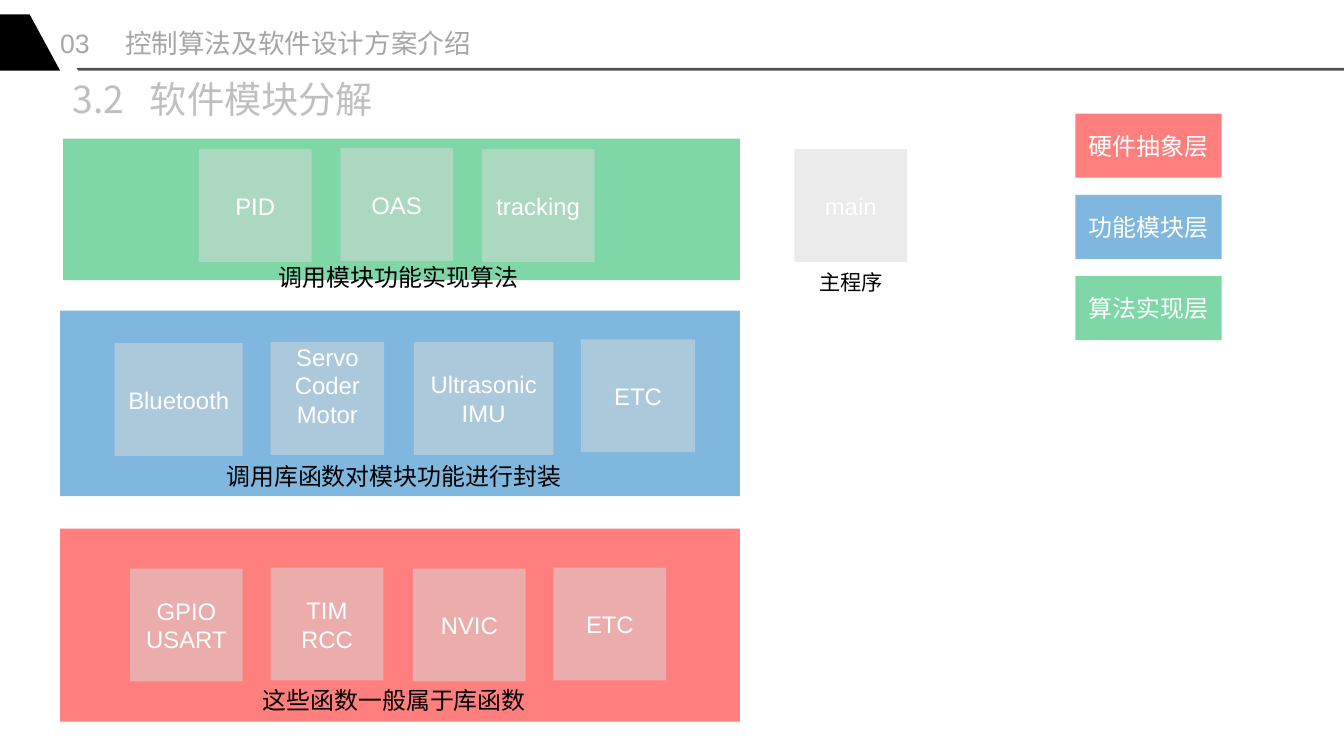
from dataclasses import dataclass

from lxml import etree
from pptx import Presentation
from pptx import util as u
from pptx.dml import color
from pptx.enum import shapes, text
from pptx.oxml import ns

COLOURS = {
    "hardware": "FF0000", "function": "0070C0", "algorithm": "00B050",
    "tile": "D9D9D9", "white": "FFFFFF", "black": "000000",
    "rule": "525252", "heading": "A6A6A6", "title": "BFBFBF",
}
LATIN, CHINESE = "Arial", "Noto Sans CJK SC"
RECT = shapes.MSO_SHAPE.RECTANGLE
PROCESS = shapes.MSO_SHAPE.FLOWCHART_PROCESS
TILE_SIDE = 1.18


@dataclass(frozen=True)
class Area:
    left: float
    top: float
    width: float
    height: float

    def lengths(self) -> list[int]:
        return [u.Inches(n) for n in (self.left, self.top, self.width, self.height)]


@dataclass(frozen=True)
class Tile:
    label: str
    left: float
    top: float
    width: float = TILE_SIDE
    lift: float = 0  # raises the label by using a deeper bottom inset


@dataclass(frozen=True)
class Label:
    content: str
    area: Area
    size: int = 18
    font: str = CHINESE
    colour: str = "black"
    wrap: bool = False
    tab: float = 0
    inset: bool = True
    after: int = 0


@dataclass(frozen=True)
class Layer:
    name: str
    colour: str
    area: Area
    preset: shapes.MSO_SHAPE
    tiles: tuple[Tile, ...]
    caption: Label


def rgb(name: str) -> color.RGBColor:
    return color.RGBColor.from_string(COLOURS[name])


def style_font(font, name: str, size: int, colour: str) -> None:
    font.name, font.size = name, u.Pt(size)
    font.color.rgb = rgb(colour)


def paint(shape, colour: str) -> None:
    shape.shadow.inherit = False
    shape.fill.solid()
    shape.fill.fore_color.rgb = rgb(colour)
    shape.line.fill.background()


def add_block(page, area: Area, colour: str, preset=RECT, label: str = "", lift: float = 0) -> None:
    """Draw a half-transparent block with a centred white label."""
    box = page.shapes.add_shape(preset, *area.lengths())
    paint(box, colour)
    fill = box.fill._xPr.find(".//" + ns.qn("a:srgbClr"))
    etree.SubElement(fill, ns.qn("a:alpha"), val="50000")
    if not label:
        return
    frame = box.text_frame
    frame.word_wrap = True
    frame.vertical_anchor = text.MSO_ANCHOR.MIDDLE
    if lift:
        frame.margin_top, frame.margin_bottom = 0, u.Inches(2 * lift)
    frame.text = label
    for para in frame.paragraphs:
        para.alignment = text.PP_ALIGN.CENTER
        style_font(para.font, LATIN, 18, "white")


def add_tile(page, tile: Tile) -> None:
    area = Area(tile.left, tile.top, tile.width, TILE_SIDE)
    add_block(page, area, "tile", label=tile.label, lift=tile.lift)


def add_label(page, label: Label) -> None:
    box = page.shapes.add_textbox(*label.area.lengths())
    frame = box.text_frame
    frame.word_wrap = label.wrap
    if not label.inset:
        frame.margin_left = frame.margin_right = frame.margin_top = frame.margin_bottom = 0
    frame.text = label.content
    para = frame.paragraphs[0]
    if label.tab:
        stops = etree.SubElement(para._p.get_or_add_pPr(), ns.qn("a:tabLst"))
        etree.SubElement(stops, ns.qn("a:tab"), pos=str(u.Inches(label.tab)), algn="l")
    if label.after:
        para.space_after = u.Pt(label.after)
    style_font(para.font, label.font, label.size, label.colour)


def add_outline(page, points: list[tuple[float, float]], colour: str) -> None:
    start, *rest = [(u.Inches(x), u.Inches(y)) for x, y in points]
    builder = page.shapes.build_freeform(*start)
    builder.add_line_segments(rest, close=True)
    paint(builder.convert_to_shape(), colour)


# Layers in legend order
LAYERS = (
    Layer("硬件抽象层", "hardware", Area(0.63, 5.53, 7.11, 2.02), RECT, (
        Tile("GPIO\nUSART", 1.36, 5.95),
        Tile("TIM\nRCC", 2.83, 5.94),
        Tile("NVIC", 4.32, 5.95),
        Tile("ETC", 5.79, 5.94),
    ), Label("这些函数一般属于库函数", Area(2.65, 7.12, 2.98, 0.4))),
    Layer("功能模块层", "function", Area(0.63, 3.25, 7.11, 1.94), PROCESS, (
        Tile("Bluetooth", 1.2, 3.59, 1.34),
        Tile("Servo\nCoder\nMotor", 2.83, 3.58, 1.19, lift=0.14),
        Tile("Ultrasonic\nIMU", 4.33, 3.58, 1.46),
        Tile("ETC", 6.08, 3.55, 1.19),
    ), Label("调用库函数对模块功能进行封装", Area(2.27, 4.78, 3.74, 0.4))),
    Layer("算法实现层", "algorithm", Area(0.66, 1.45, 7.08, 1.48), PROCESS, (
        Tile("PID", 2.08, 1.56),
        Tile("OAS", 3.56, 1.55),
        Tile("tracking", 5.04, 1.56),
    ), Label("调用模块功能实现算法", Area(2.82, 2.7, 2.73, 0.4))),
)
HEADINGS = (
    Label("3.2\t软件模块分解", Area(0.66, 0.75, 5.52, 0.57), 28, CHINESE, "title",
          wrap=True, tab=0.81),
    Label("03\t控制算法及软件设计方案介绍", Area(0.63, 0.28, 4.32, 0.34), 20, LATIN, "heading",
          wrap=True, tab=0.68, inset=False, after=6),
)


def main() -> None:
    deck = Presentation()
    deck.slide_width, deck.slide_height = u.Inches(14.06), u.Inches(7.91)
    page = deck.slides.add_slide(deck.slide_layouts[6])

    # Header
    add_outline(page, [(0.8, 0.71), (14.06, 0.71), (14.06, 0.74), (0.82, 0.74)], "rule")
    add_outline(page, [(0.31, 0.15), (0.63, 0.74), (0, 0.74), (0, 0.15)], "black")
    for heading in HEADINGS:
        add_label(page, heading)

    # Legend and layers
    for row, layer in enumerate(LAYERS):
        key = Area(11.25, 1.19 + 0.85 * row, 1.53, 0.67)
        add_block(page, key, layer.colour, layer.preset, layer.name)
        add_block(page, layer.area, layer.colour, layer.preset)
        for tile in layer.tiles:
            add_tile(page, tile)
        add_label(page, layer.caption)

    # Main program
    add_tile(page, Tile("main", 8.31, 1.56))
    add_label(page, Label("主程序", Area(8.47, 2.77, 1.42, 0.37), 16, wrap=True))

    deck.save("out.pptx")


if __name__ == "__main__":
    main()
